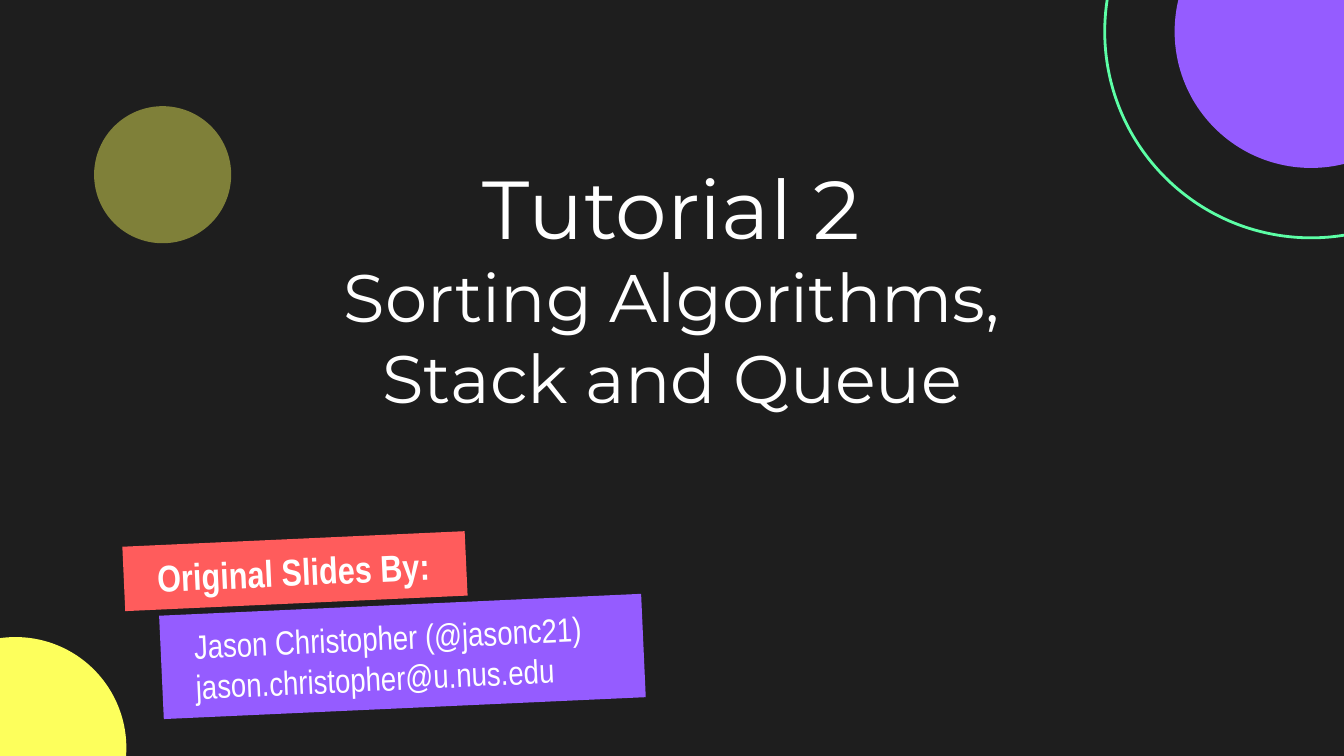
from lxml import etree
from pptx import Presentation
from pptx import util as u
from pptx.dml.color import RGBColor
from pptx.enum import shapes, text
from pptx.oxml.ns import qn

COLORS = {
    "night": "1E1E1E",
    "white": "FFFFFF",
    "yellow": "FDFF5C",
    "coral": "FF5C5C",
    "mint": "5CFFA6",
    "violet": "955CFF",
}
COLS, ROWS = 100, 56.25
CELL = u.Inches(0.1)
TILT = -2.6


def grid(*cells):
    """Turn counts of grid cells into lengths."""
    return [round(count * CELL) for count in cells]


def write(frame, lines, size, font, bold=False, align=text.PP_ALIGN.LEFT,
          anchor=text.MSO_ANCHOR.MIDDLE, hanging=False):
    """Put paragraphs, each a list of (words, size) runs, into a text frame."""
    frame.word_wrap = True
    frame.vertical_anchor = anchor
    frame.margin_left = frame.margin_right = CELL
    frame.margin_top = frame.margin_bottom = CELL
    for index, line in enumerate(lines):
        paragraph = frame.paragraphs[0] if index == 0 else frame.add_paragraph()
        paragraph.alignment = align
        if hanging:
            properties = paragraph._p.get_or_add_pPr()
            properties.set("marL", str(u.Inches(0.5)))
            properties.set("indent", str(u.Inches(-0.35)))
        for position, (words, run_size) in enumerate(line):
            if position:
                paragraph.add_line_break()
            run = paragraph.add_run()
            run.text = words
            run.font.size = u.Pt(run_size or size)
            run.font.name = font
            run.font.bold = bold
            run.font.color.rgb = RGBColor.from_string(COLORS["white"])


deck = Presentation()
deck.slide_width, deck.slide_height = grid(COLS, ROWS)
slide = deck.slides.add_slide(deck.slide_layouts[6])
slide.background.fill.solid()
slide.background.fill.fore_color.rgb = RGBColor.from_string(COLORS["night"])

# Circles: centre column, centre row, diameter, fill, outline, opacity in percent
circles = [
    (1.15, 55.65, 16.5, "yellow", None, 100),
    (12.1, 13, 10.2, "yellow", None, 44),
    (97.55, 2.35, 30.7, None, "mint", 100),
    (97.55, 2.35, 20.3, "violet", None, 100),
]
for column, row, diameter, fill, outline, opacity in circles:
    circle = slide.shapes.add_shape(
        shapes.MSO_SHAPE.OVAL,
        *grid(column - diameter / 2, row - diameter / 2, diameter, diameter))
    circle.shadow.inherit = False
    if fill:
        circle.fill.solid()
        circle.fill.fore_color.rgb = RGBColor.from_string(COLORS[fill])
    else:
        circle.fill.background()
    if outline:
        circle.line.color.rgb = RGBColor.from_string(COLORS[outline])
        circle.line.width = u.Pt(1.5)
    else:
        circle.line.fill.background()
    if opacity < 100:
        tint = circle.element.spPr.find(qn("a:solidFill")).find(qn("a:srgbClr"))
        etree.SubElement(tint, qn("a:alpha")).set("val", str(opacity * 1000))

title = slide.shapes.add_textbox(*grid(19, 10.7, 62, 20.9))
write(title.text_frame,
      [[("Tutorial 2", 44), ("Sorting Algorithms,", None), ("Stack and Queue", None)]],
      size=36, font="Montserrat", align=text.PP_ALIGN.CENTER,
      anchor=text.MSO_ANCHOR.TOP)

# Tilted labels: left, top, width, height, fill, lines, text size, bold
labels = [
    (9.2, 40.1, 25.5, 4.8, "coral", ["Original Slides By:"], 20, True),
    (12, 45, 35.9, 7.7, "violet",
     ["Jason Christopher (@jasonc21)", "jason.christopher@u.nus.edu"], 18, False),
]
for left, top, width, height, fill, lines, size, bold in labels:
    label = slide.shapes.add_shape(
        shapes.MSO_SHAPE.RECTANGLE, *grid(left, top, width, height))
    label.rotation = TILT
    label.shadow.inherit = False
    label.fill.solid()
    label.fill.fore_color.rgb = RGBColor.from_string(COLORS[fill])
    label.line.fill.background()
    write(label.text_frame, [[(line, None)] for line in lines],
          size=size, font="Arial Narrow", bold=bold, hanging=True)

deck.save("out.pptx")
